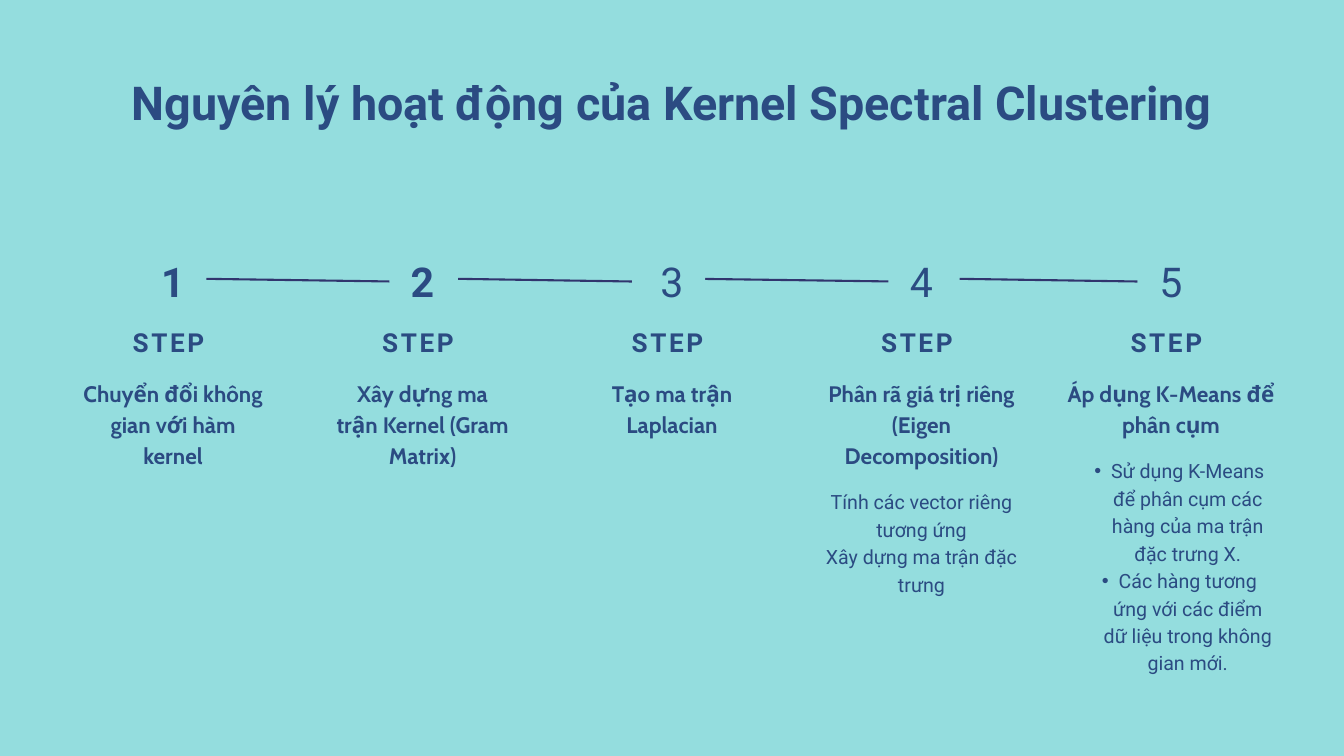
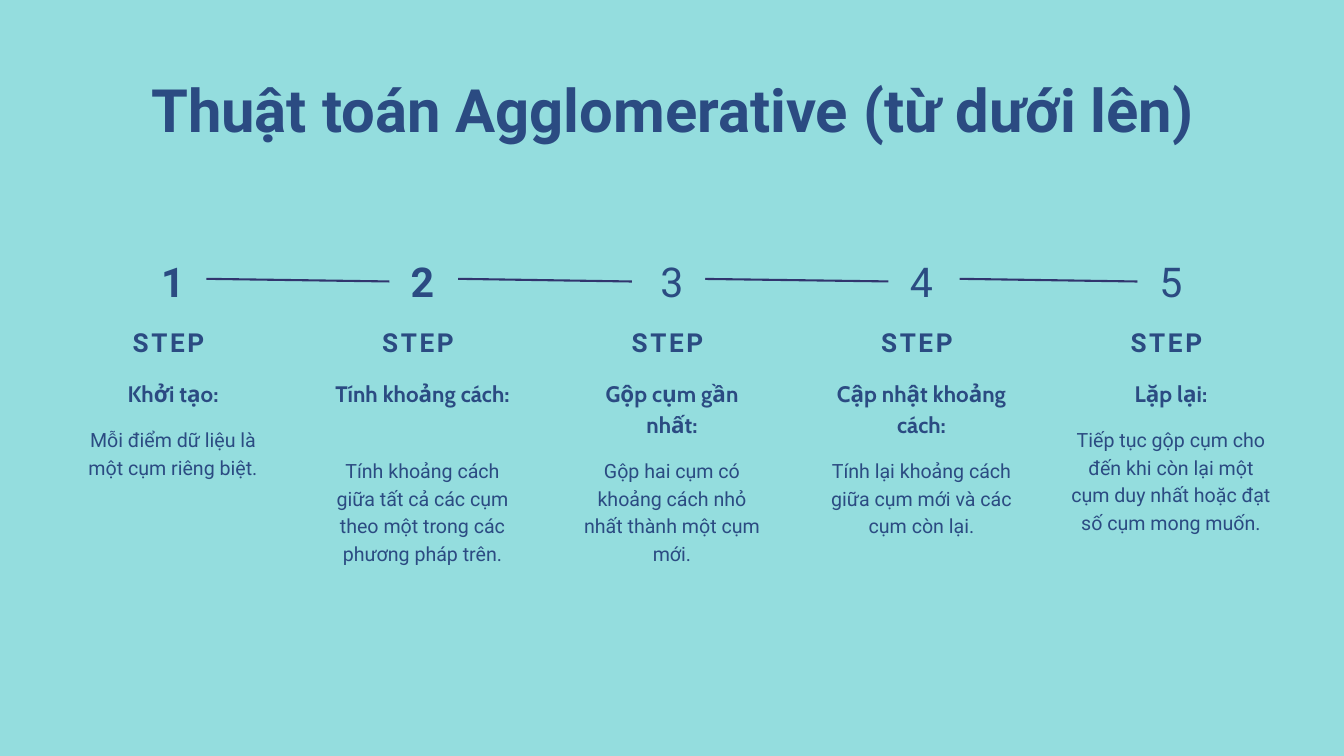
import dataclasses

import pptx
import pptx.dml.color
import pptx.enum.shapes
import pptx.enum.text
import pptx.oxml
import pptx.oxml.ns
import pptx.util
from pptx.util import Cm

ANCHOR = pptx.enum.text.MSO_ANCHOR
AUTO_SIZE = pptx.enum.text.MSO_AUTO_SIZE


@dataclasses.dataclass(frozen=True)
class TextStyle:
    font: str
    size: float
    leading: float
    bold: bool = False
    tracking: float = 0


@dataclasses.dataclass(frozen=True)
class Theme:
    background: str = "94DDDE"
    ink: str = "2B4B82"
    rule: str = "31356E"
    rule_width: float = 2.25
    long_title: TextStyle = TextStyle("Roboto", 50, 52.5, True)
    title: TextStyle = TextStyle("Roboto", 64, 67.2, True)
    number: TextStyle = TextStyle("Roboto", 44, 61.6, tracking=7.5)
    label: TextStyle = TextStyle("Roboto", 28, 39.2, True, 2.8)
    heading: TextStyle = TextStyle("Cabin", 24, 33.6, True)
    detail: TextStyle = TextStyle("Roboto", 21, 29.4)


@dataclasses.dataclass(frozen=True)
class Step:
    heading: str
    heading_lines: int
    details: tuple = ()
    bulleted: bool = False


THEME = Theme()

# Timeline grid, in centimetres
FIRST_CENTRE, PITCH = 6.54, 9.43
COLUMN_WIDTHS = (6.83, 6.68, 6.83, 7.44, 7.85)
RULE_SPANS = ((7.8, 14.81), (17.32, 23.88), (26.39, 33.76), (36.27, 43))
RULE_START_Y, RULE_END_Y = 10.54, 10.64
NUMBER_WIDTH = 2.51
LABEL_TOP, LABEL_HEIGHT = 12.14, 1.3
HEADING_TOP, HEADING_LINE = 14.18, 1.17
DETAIL_GAP, DETAIL_LINE = 0.69, 1.02

KERNEL_STEPS = (
    Step("Chuyển đổi không gian với hàm kernel", 3),
    Step("Xây dựng ma trận Kernel (Gram Matrix)", 3),
    Step("Tạo ma trận Laplacian", 2),
    Step("Phân rã giá trị riêng (Eigen Decomposition)", 3,
         ("Tính các vector riêng tương ứng", "Xây dựng ma trận đặc trưng")),
    Step("Áp dụng K-Means để phân cụm", 2,
         ("Sử dụng K-Means để phân cụm các hàng của ma trận đặc trưng X.",
          "Các hàng tương ứng với các điểm dữ liệu trong không gian mới."),
         bulleted=True),
)
AGGLOMERATIVE_STEPS = (
    Step("Khởi tạo:", 1, ("Mỗi điểm dữ liệu là một cụm riêng biệt.",)),
    Step("Tính khoảng cách:", 2,
         ("Tính khoảng cách giữa tất cả các cụm theo một trong các phương pháp trên.",)),
    Step("Gộp cụm gần nhất:", 2,
         ("Gộp hai cụm có khoảng cách nhỏ nhất thành một cụm mới.",)),
    Step("Cập nhật khoảng cách:", 2,
         ("Tính lại khoảng cách giữa cụm mới và các cụm còn lại.",)),
    Step("Lặp lại:", 1,
         ("Tiếp tục gộp cụm cho đến khi còn lại một cụm duy nhất hoặc đạt số cụm mong muốn.",)),
)


def colour(code):
    return pptx.dml.color.RGBColor.from_string(code)


def add_bullet(paragraph):
    paragraph.level = 1
    properties = paragraph._p.get_or_add_pPr()
    properties.set("marL", str(Cm(1.27)))
    properties.set("indent", str(Cm(-0.635)))
    for tag, attribute, value in (("a:buFont", "typeface", "Arial"),
                                  ("a:buChar", "char", "•")):
        bullet = pptx.oxml.parse_xml(f"<{tag} {pptx.oxml.ns.nsdecls('a')}/>")
        bullet.set(attribute, value)
        properties.append(bullet)


def write(holder, *lines, style, bold=None, anchor=ANCHOR.TOP, bulleted=False,
          auto_size=AUTO_SIZE.SHAPE_TO_FIT_TEXT):
    """Fill a text box or placeholder, one centred paragraph per line."""
    frame = holder.text_frame
    frame.word_wrap = True
    frame.auto_size = auto_size
    frame.vertical_anchor = anchor
    frame.margin_left = frame.margin_right = frame.margin_top = frame.margin_bottom = 0
    for index, line in enumerate(lines):
        paragraph = frame.add_paragraph() if index else frame.paragraphs[0]
        paragraph.alignment = pptx.enum.text.PP_ALIGN.CENTER
        paragraph.line_spacing = pptx.util.Pt(style.leading)
        paragraph.space_before = pptx.util.Pt(0)
        if bulleted:
            add_bullet(paragraph)
        run = paragraph.add_run()
        run.text = line
        run.font.name = style.font
        run.font.size = pptx.util.Pt(style.size)
        run.font.bold = style.bold if bold is None else bold
        run.font.color.rgb = colour(THEME.ink)
        if style.tracking:
            run._r.get_or_add_rPr().set("spc", str(round(style.tracking * 100)))


def move(placeholder, left, top, width, height):
    placeholder.left, placeholder.top = Cm(left), Cm(top)
    placeholder.width, placeholder.height = Cm(width), Cm(height)
    return placeholder


def text_box(slide, left, top, width, height):
    return slide.shapes.add_textbox(Cm(left), Cm(top), Cm(width), Cm(height))


def add_rule(slide, start, end):
    rule = slide.shapes.add_connector(
        pptx.enum.shapes.MSO_CONNECTOR.STRAIGHT,
        Cm(start), Cm(RULE_START_Y), Cm(end), Cm(RULE_END_Y))
    rule.line.color.rgb = colour(THEME.rule)
    rule.line.width = pptx.util.Pt(THEME.rule_width)
    rule._element.spPr.append(
        pptx.oxml.parse_xml(f"<a:effectLst {pptx.oxml.ns.nsdecls('a')}/>"))


def add_number(slide, number, centre):
    left = centre - NUMBER_WIDTH / 2
    # A patch in the background colour trims the rule beside the number
    if number > 1:
        patch = slide.shapes.add_shape(
            pptx.enum.shapes.MSO_SHAPE.RECTANGLE,
            Cm(left), Cm(9.37), Cm(NUMBER_WIDTH), Cm(2.45))
        patch.fill.solid()
        patch.fill.fore_color.rgb = colour(THEME.background)
        patch.line.fill.background()
        patch.shadow.inherit = False
    write(text_box(slide, left, 9.14, NUMBER_WIDTH, 2.69), str(number),
          style=THEME.number, bold=number <= 2, anchor=ANCHOR.MIDDLE,
          auto_size=AUTO_SIZE.NONE)


def add_step(slide, step, centre, width):
    left = centre - width / 2
    heading_height = step.heading_lines * HEADING_LINE
    write(text_box(slide, left, LABEL_TOP, width, LABEL_HEIGHT), "STEP ",
          style=THEME.label)
    write(text_box(slide, left, HEADING_TOP, width, heading_height), step.heading,
          style=THEME.heading)
    if step.details:
        area = (left, HEADING_TOP + heading_height + DETAIL_GAP, width, 4 * DETAIL_LINE)
        if step.bulleted:
            details = move(slide.placeholders[1], *area[:3], 8 * DETAIL_LINE)
        else:
            details = text_box(slide, *area)
        write(details, *step.details, style=THEME.detail, bulleted=step.bulleted)


def add_process_slide(deck, title, title_style, title_top, title_height, steps):
    has_list = any(step.bulleted for step in steps)
    layout = "Title and Content" if has_list else "Title Only"
    slide = deck.slides.add_slide(deck.slide_layouts.get_by_name(layout))
    write(move(slide.shapes.title, 3, title_top, 44.83, title_height), title,
          style=title_style)
    for start, end in RULE_SPANS:
        add_rule(slide, start, end)
    for index, (step, width) in enumerate(zip(steps, COLUMN_WIDTHS)):
        centre = FIRST_CENTRE + index * PITCH
        add_number(slide, index + 1, centre)
        add_step(slide, step, centre, width)


def main():
    deck = pptx.Presentation()
    deck.slide_width, deck.slide_height = Cm(50.8), Cm(28.575)

    # Shared background
    backdrop = deck.slide_master.background.fill
    backdrop.solid()
    backdrop.fore_color.rgb = colour(THEME.background)

    add_process_slide(deck, "Nguyên lý hoạt động của Kernel Spectral Clustering",
                      THEME.long_title, 3.05, 1.93, KERNEL_STEPS)
    add_process_slide(deck, "Thuật toán Agglomerative (từ dưới lên)",
                      THEME.title, 3.1, 2.46, AGGLOMERATIVE_STEPS)
    deck.save("out.pptx")


if __name__ == "__main__":
    main()
